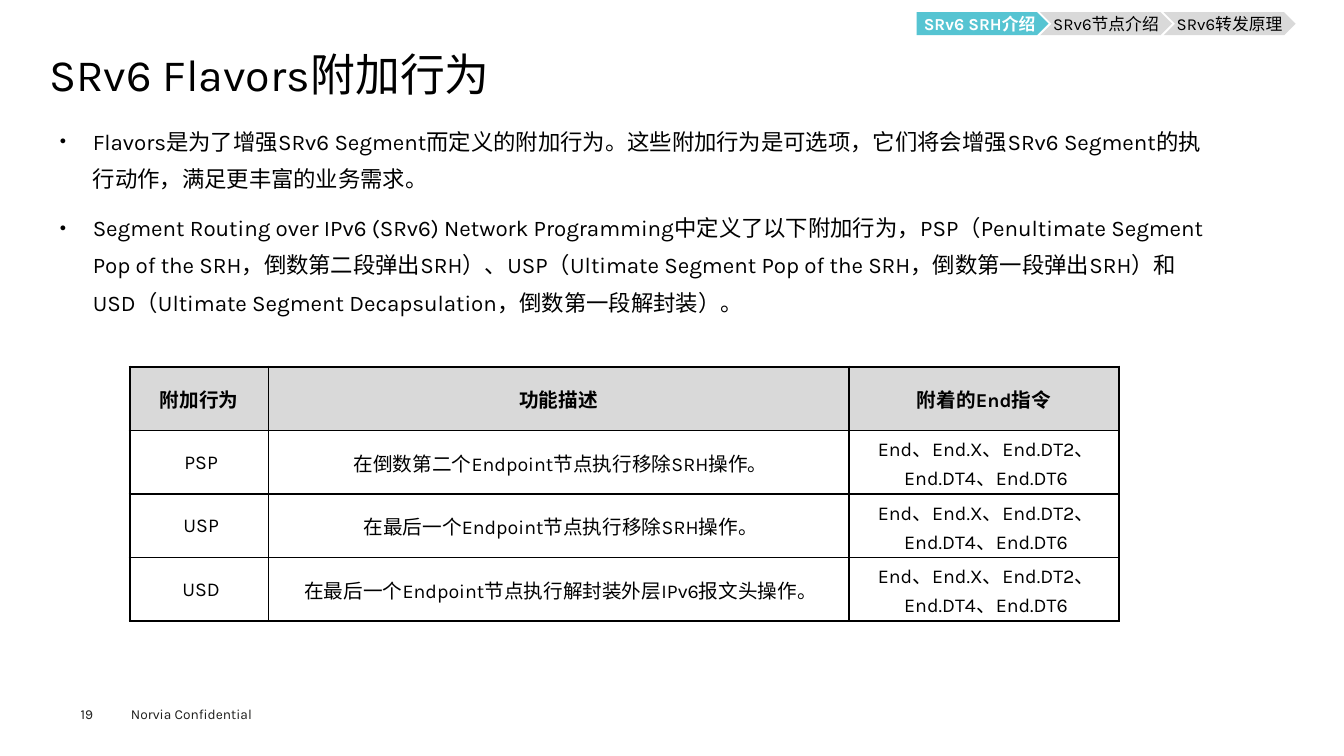
from dataclasses import dataclass
from lxml.etree import SubElement
from pptx import Presentation
from pptx.dml.color import RGBColor as RGB
from pptx.enum.shapes import MSO_SHAPE as Shape
from pptx.enum.text import MSO_ANCHOR as Anchor, MSO_AUTO_SIZE as Auto, PP_ALIGN as Align
from pptx.oxml.ns import qn
from pptx.util import Inches, Pt


@dataclass(frozen=True)
class Theme:
    font: str = "Karla"
    black: str = "000000"
    white: str = "FFFFFF"
    ink: str = "1D1D1B"
    gray: str = "D9D9D9"
    teal: str = "56C4D2"
    title: float = 32
    body: float = 16
    cell: float = 14
    step: float = 12
    foot: float = 9.8
    thick: float = 2.25
    thin: float = 1


theme = Theme()


def add_run(para, text, size, color=theme.black, bold=False):
    run = para.add_run()
    run.text = text
    run.font.name = theme.font
    run.font.size = Pt(size)
    run.font.bold = bold
    run.font.color.rgb = RGB.from_string(color)


def set_box(frame, pads, anchor):
    frame.word_wrap = True
    frame.auto_size = Auto.NONE
    frame.vertical_anchor = anchor
    frame.margin_left, frame.margin_top, frame.margin_right, frame.margin_bottom = map(Inches, pads)


deck = Presentation()
deck.slide_width, deck.slide_height = Inches(13.33), Inches(7.5)
slide = deck.slides.add_slide(deck.slide_layouts[1])
shapes = slide.shapes

# Footer and page number
for text, place, pads in [
    ("Norvia Confidential", (1.2, 6.95, 1.6, 0.27), (0.1, 0.05, 0.1, 0.05)),
    ("19", (0.8, 7, 0.55, 0.16), (0, 0, 0, 0)),
]:
    frame = shapes.add_textbox(*map(Inches, place)).text_frame
    set_box(frame, pads, Anchor.TOP)
    add_run(frame.paragraphs[0], text, theme.foot, theme.ink)

# Title
title = shapes.title
title.left, title.top, title.width, title.height = map(Inches, (0.49, 0.49, 12.35, 0.54))
set_box(title.text_frame, (0, 0, 0, 0), Anchor.MIDDLE)
para = title.text_frame.paragraphs[0]
para.alignment = Align.LEFT
para.line_spacing = 0.9
add_run(para, "SRv6 Flavors附加行为", theme.title)

# Bullet list
body = slide.placeholders[1]
body.left, body.top, body.width, body.height = map(Inches, (0.49, 1.11, 11.62, 2.33))
frame = body.text_frame
set_box(frame, (0.1, 0.05, 0.1, 0.05), Anchor.TOP)
points = [
    "Flavors是为了增强SRv6 Segment而定义的附加行为。这些附加行为是可选项，"
    "它们将会增强SRv6 Segment的执行动作，满足更丰富的业务需求。",
    "Segment Routing over IPv6 (SRv6) Network Programming中定义了以下附加行为，"
    "PSP（Penultimate Segment Pop of the SRH，倒数第二段弹出SRH）、"
    "USP（Ultimate Segment Pop of the SRH，倒数第一段弹出SRH）和"
    "USD（Ultimate Segment Decapsulation，倒数第一段解封装）。",
]
for i, text in enumerate(points):
    para = frame.add_paragraph() if i else frame.paragraphs[0]
    props = para._p.get_or_add_pPr()
    props.set("marL", str(Inches(0.33)))
    props.set("indent", str(-Inches(0.33)))
    SubElement(props, qn("a:buSzPct"), val="50000")
    SubElement(props, qn("a:buChar"), char="●")
    para.line_spacing = 1.4
    para.space_before = Pt(7.9 if i else 0)
    add_run(para, text, theme.body)

# Flavor table
ends = "End、End.X、End.DT2、End.DT4、End.DT6"
rows = [
    ("附加行为", "功能描述", "附着的End指令"),
    ("PSP", "在倒数第二个Endpoint节点执行移除SRH操作。", ends),
    ("USP", "在最后一个Endpoint节点执行移除SRH操作。", ends),
    ("USD", "在最后一个Endpoint节点执行解封装外层IPv6报文头操作。", ends),
]
widths = (1.37, 5.76, 2.68)
place = map(Inches, (1.29, 3.64, sum(widths), 2.52))
table = shapes.add_table(len(rows), len(widths), *place).table
for col, width in zip(table.columns, widths):
    col.width = Inches(width)
for r, row in enumerate(rows):
    table.rows[r].height = Inches(0.63)
    head = r == 0
    for c, text in enumerate(row):
        cell = table.cell(r, c)
        cell.vertical_anchor = Anchor.MIDDLE
        pads = (0.05, 0.02, 0.05, 0.02) if head else (0.08, 0.01, 0.04, 0)
        cell.margin_left, cell.margin_top, cell.margin_right, cell.margin_bottom = map(Inches, pads)
        # Thick lines on the outer edge, thin lines inside
        outer = {"L": c == 0, "R": c == len(widths) - 1, "T": head, "B": r == len(rows) - 1}
        for side, edge in outer.items():
            width = Pt(theme.thick if edge else theme.thin)
            line = SubElement(cell._tc.get_or_add_tcPr(), qn("a:ln" + side), w=str(width))
            SubElement(SubElement(line, qn("a:solidFill")), qn("a:srgbClr"), val=theme.black)
        cell.fill.solid()
        cell.fill.fore_color.rgb = RGB.from_string(theme.gray if head else theme.white)
        para = cell.text_frame.paragraphs[0]
        para.alignment = Align.CENTER
        add_run(para, text, theme.cell, bold=head)

# Chapter steps, the first one active
for i, text in enumerate(["SRv6 SRH介绍", "SRv6节点介绍", "SRv6转发原理"]):
    now = i == 0
    place = map(Inches, (9.09 + 1.225 * i, 0.12, 1.31, 0.23))
    step = shapes.add_shape(Shape.PENTAGON if now else Shape.CHEVRON, *place)
    step.shadow.inherit = False
    step.fill.solid()
    step.fill.fore_color.rgb = RGB.from_string(theme.teal if now else theme.gray)
    step.line.fill.background()
    set_box(step.text_frame, (0, 0, 0, 0), Anchor.MIDDLE)
    para = step.text_frame.paragraphs[0]
    para.alignment = Align.CENTER
    add_run(para, text, theme.step, theme.white if now else theme.black, now)

deck.save("out.pptx")
